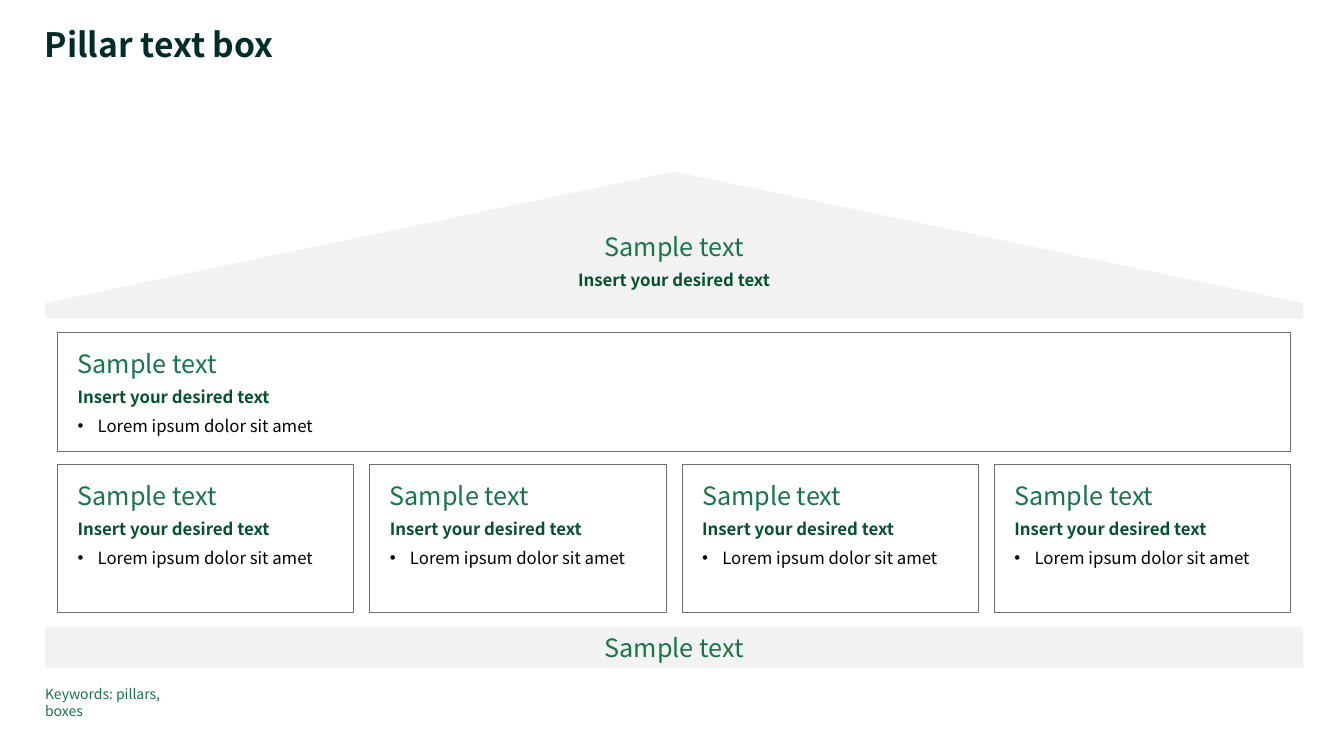
from lxml import etree
from pptx import Presentation
from pptx.dml.color import RGBColor
from pptx.enum.shapes import MSO_SHAPE
from pptx.enum.text import MSO_ANCHOR, MSO_AUTO_SIZE, PP_ALIGN
from pptx.oxml.ns import qn
from pptx.util import Pt

RECT = MSO_SHAPE.RECTANGLE
TOP, MIDDLE = MSO_ANCHOR.TOP, MSO_ANCHOR.MIDDLE
LEFT, CENTER = PP_ALIGN.LEFT, PP_ALIGN.CENTER
FIXED = MSO_AUTO_SIZE.NONE

FONT = "Noto Sans CJK JP"
DARK = RGBColor(0x00, 0x2D, 0x28)
GREEN = RGBColor(0x1A, 0x74, 0x49)
DEEP = RGBColor(0x03, 0x52, 0x2D)
BLACK = RGBColor(0, 0, 0)
PALE = RGBColor(0xF2, 0xF2, 0xF2)
GRAY = RGBColor(0x6E, 0x6F, 0x73)

HEAD = ("Sample text", 18, GREEN, False, False)
SUB = ("Insert your desired text", 12, DEEP, True, False)
ITEM = ("Lorem ipsum dolor sit amet", 12, BLACK, False, True)


class Board:
    def __init__(self, slide):
        self.slide = slide
        self.shapes = slide.shapes

    def label(self, shape, lines, align=LEFT, anchor=TOP, inset=(0, 0, 0, 0), after=6):
        frame = shape.text_frame
        frame.word_wrap = True
        frame.auto_size = FIXED
        frame.vertical_anchor = anchor
        (frame.margin_left, frame.margin_top,
         frame.margin_right, frame.margin_bottom) = [Pt(v) for v in inset]
        frame.text = "\n".join(line[0] for line in lines)
        for para, (_, size, color, bold, dot) in zip(frame.paragraphs, lines):
            para.alignment = align
            para.space_before = Pt(0)
            para.space_after = Pt(after)
            if dot:
                self.bullet(para, color)
            for run in para.runs:
                font = run.font
                font.name = FONT
                font.size = Pt(size)
                font.bold = bold
                font.color.rgb = color

    def bullet(self, para, color):
        props = para._p.get_or_add_pPr()
        props.set("marL", str(Pt(14.4)))
        props.set("indent", str(Pt(-14.4)))
        tint = etree.SubElement(props, qn("a:buClr"))
        etree.SubElement(tint, qn("a:srgbClr"), val=str(color))
        etree.SubElement(props, qn("a:buFont"), typeface="Arial")
        etree.SubElement(props, qn("a:buChar"), char="•")

    def title(self, text, x, y, w, h):
        shape = self.shapes.title
        shape.left, shape.top, shape.width, shape.height = Pt(x), Pt(y), Pt(w), Pt(h)
        self.label(shape, [(text, 24, DARK, True, False)], after=0)
        shape.text_frame.paragraphs[0].line_spacing = 0.9

    def shade(self, shape):
        shape.shadow.inherit = False
        shape.fill.solid()
        shape.fill.fore_color.rgb = PALE
        shape.line.fill.background()

    def roof(self, x, y, w, h, eave, lines):
        pen = self.shapes.build_freeform(Pt(x + w / 2), Pt(y))
        pen.add_line_segments([
            (Pt(x + w), Pt(y + h - eave)), (Pt(x + w), Pt(y + h)),
            (Pt(x), Pt(y + h)), (Pt(x), Pt(y + h - eave))])
        shape = pen.convert_to_shape()
        self.shade(shape)
        self.label(shape, lines, CENTER, MIDDLE, (0, 42.5, 0, 20.2))

    def base(self, x, y, w, h, lines):
        shape = self.shapes.add_shape(RECT, Pt(x), Pt(y), Pt(w), Pt(h))
        self.shade(shape)
        self.label(shape, lines, CENTER, MIDDLE, (7.2, 3.6, 7.2, 3.6))

    def box(self, x, y, w, h, lines):
        shape = self.shapes.add_shape(RECT, Pt(x), Pt(y), Pt(w), Pt(h))
        shape.shadow.inherit = False
        shape.fill.background()
        shape.line.color.rgb = GRAY
        shape.line.width = Pt(0.5)
        self.label(shape, lines, inset=(14.4, 11.5, 14.4, 11.5))

    def note(self, text, x, y, w, h):
        shape = self.shapes.add_textbox(Pt(x), Pt(y), Pt(w), Pt(h))
        self.label(shape, [(text, 10, GREEN, False, False)], after=1.1)


def main():
    deck = Presentation()
    deck.slide_width, deck.slide_height = Pt(960), Pt(540)
    board = Board(deck.slides.add_slide(deck.slide_layouts[5]))

    edge, span = 32.2, 898.6
    inner, width = 41, 880.8
    count, gap = 4, 11.4
    pillar = (width - gap * (count - 1)) / count

    board.title("Pillar text box", 32, 20.2, 794, 26.6)
    board.roof(edge, 122.6, span, 105, 11, [HEAD, SUB])
    board.base(edge, 447.8, span, 29.2, [HEAD])
    board.box(inner, 237.4, width, 85, [HEAD, SUB, ITEM])
    for i in range(count):
        board.box(inner + i * (pillar + gap), 331.7, pillar, 105.8, [HEAD, SUB, ITEM])
    board.note("Keywords: pillars, boxes", edge, 489.6, 108.7, 12.2)
    deck.save("out.pptx")


if __name__ == "__main__":
    main()
